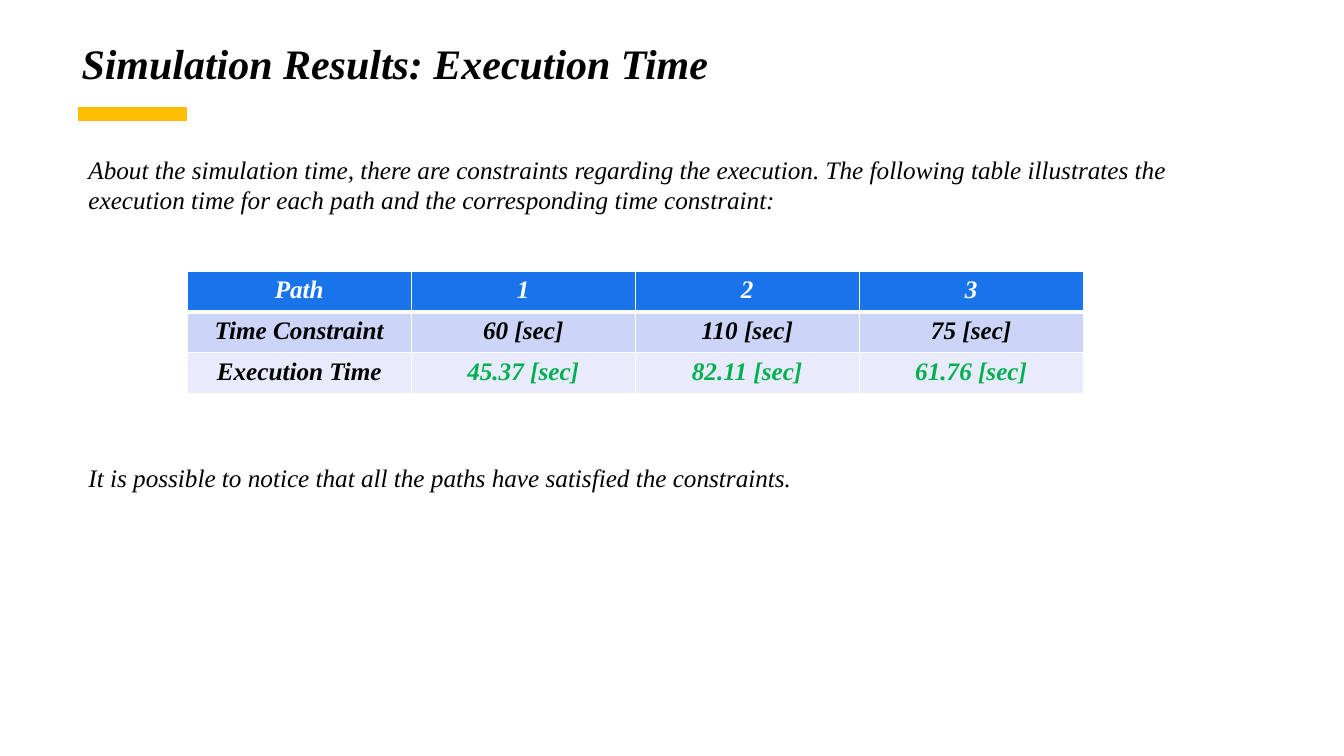
from lxml import etree
from pptx import Presentation
from pptx.dml.color import RGBColor
from pptx.enum.shapes import MSO_SHAPE
from pptx.enum.text import MSO_ANCHOR, MSO_AUTO_SIZE, PP_ALIGN
from pptx.oxml.ns import qn
from pptx.util import Cm, Pt

RECTANGLE = MSO_SHAPE.RECTANGLE
TOP = MSO_ANCHOR.TOP
NO_AUTOFIT = MSO_AUTO_SIZE.NONE
LEFT, CENTER = PP_ALIGN.LEFT, PP_ALIGN.CENTER

FONT = "Times New Roman"
COLORS = {
    "text": "000000",
    "white": "FFFFFF",
    "header": "1973EB",
    "odd_row": "CCD5F7",
    "even_row": "E8EBFB",
    "satisfied": "00B050",
    "accent": "FFC000",
    "accent_line": "FEBB00",
}
INTRODUCTION = (
    "About the simulation time, there are constraints regarding the execution. "
    "The following table illustrates the execution time for each path and the "
    "corresponding time constraint:"
)
CONCLUSION = "It is possible to notice that all the paths have satisfied the constraints."
TIMES = [
    ["Path", "1", "2", "3"],
    ["Time Constraint", "60 [sec]", "110 [sec]", "75 [sec]"],
    ["Execution Time", "45.37 [sec]", "82.11 [sec]", "61.76 [sec]"],
]


def color(name):
    return RGBColor.from_string(COLORS[name])


def write(text_frame, text, size, color_name="text", bold=False, alignment=LEFT):
    text_frame.text = text
    paragraph = text_frame.paragraphs[0]
    paragraph.alignment = alignment
    font = paragraph.font
    font.name, font.size = FONT, Pt(size)
    font.bold, font.italic = bold, True
    font.color.rgb = color(color_name)


def add_heading(slide, left, top, width, height):
    # Title
    title = slide.shapes.title
    title.left, title.top, title.width, title.height = left, top, width, height
    text_frame = title.text_frame
    text_frame.word_wrap = True
    text_frame.auto_size = NO_AUTOFIT
    text_frame.vertical_anchor = TOP
    write(text_frame, "Simulation Results: Execution Time", 30, bold=True)

    # Accent bar below the title
    bar = slide.shapes.add_shape(
        RECTANGLE, left + Cm(0.18), top + height + Cm(0.36), Cm(2.72), Cm(0.31))
    bar.shadow.inherit = False
    bar.fill.solid()
    bar.fill.fore_color.rgb = color("accent")
    bar.line.color.rgb = color("accent_line")
    bar.line.width = Pt(1)


def add_body_text(slide, text, left, top, width, height):
    text_frame = slide.shapes.add_textbox(left, top, width, height).text_frame
    text_frame.word_wrap = True
    write(text_frame, text, 18)


def set_borders(cell, widths):
    properties = cell._tc.get_or_add_tcPr()
    for side, width in widths.items():
        line = etree.SubElement(properties, qn(f"a:ln{side}"), w=str(Pt(width)))
        fill = etree.SubElement(line, qn("a:solidFill"))
        etree.SubElement(fill, qn("a:srgbClr"), val=COLORS["white"])


def add_times_table(slide, left, top, width, height):
    row_fills = ["header", "odd_row", "even_row"]
    table = slide.shapes.add_table(
        len(TIMES), len(TIMES[0]), left, top, width, height).table
    for row, values in enumerate(TIMES):
        for column, value in enumerate(values):
            cell = table.cell(row, column)
            # The header is set off by a thicker rule
            set_borders(cell, {"L": 1, "R": 1, "T": 3 if row == 1 else 1,
                               "B": 3 if row == 0 else 1})
            cell.fill.solid()
            cell.fill.fore_color.rgb = color(row_fills[row])
            if row == 0:
                text_color = "white"
            elif row == 2 and column > 0:
                text_color = "satisfied"
            else:
                text_color = "text"
            write(cell.text_frame, value, 18, text_color, True, CENTER)


def main():
    presentation = Presentation()
    presentation.slide_width, presentation.slide_height = Cm(33.87), Cm(19.05)
    slide = presentation.slides.add_slide(presentation.slide_layouts[5])

    add_heading(slide, Cm(1.8), Cm(0.81), Cm(28.3), Cm(1.55))
    add_body_text(slide, INTRODUCTION, Cm(1.98), Cm(3.76), Cm(28.88), Cm(1.8))
    add_times_table(slide, Cm(4.72), Cm(6.83), Cm(22.58), Cm(3.09))
    add_body_text(slide, CONCLUSION, Cm(1.98), Cm(11.53), Cm(27.48), Cm(1.02))

    presentation.save("out.pptx")


if __name__ == "__main__":
    main()
